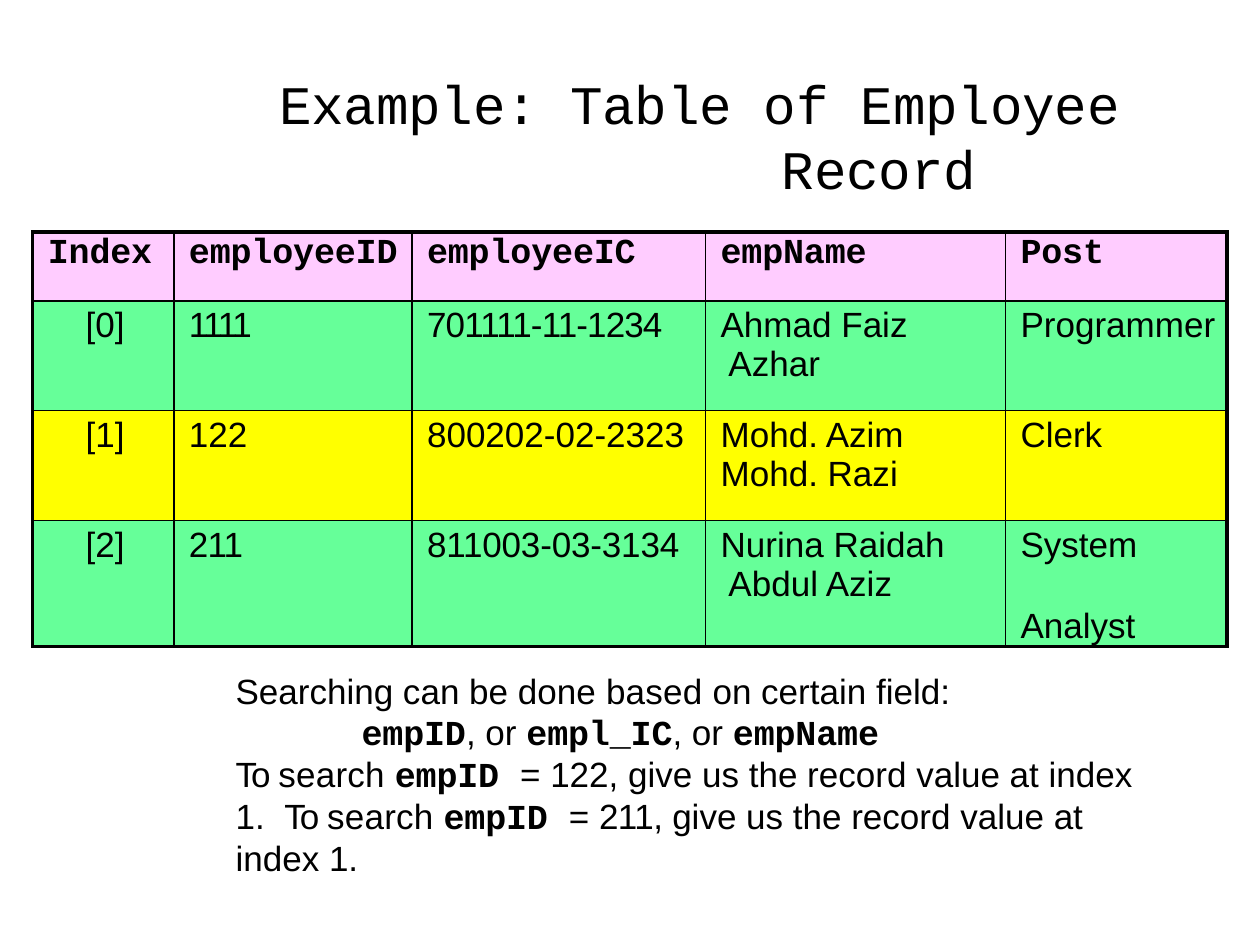
from lxml import etree
from pptx import Presentation, util as u
from pptx.dml.color import RGBColor
from pptx.enum import text
from pptx.oxml.ns import qn

CODE, BODY = "Courier New", "Arial"
INK, PINK, GREEN, YELLOW = "000000", "FFCCFF", "66FF99", "FFFF00"


def color(value):
    return RGBColor.from_string(value)


class Deck:
    size = 20

    def __init__(self, width=10, height=7.5):
        self.presentation = Presentation()
        self.presentation.slide_width = u.Inches(width)
        self.presentation.slide_height = u.Inches(height)
        self.unit = self.presentation.slide_width / 100
        self.slide = self.presentation.slides.add_slide(self.presentation.slide_layouts[5])

    def grid(self, *values):
        return [u.Emu(round(value * self.unit)) for value in values]

    def frame(self, target, top):
        target.margin_left = target.margin_right = target.margin_bottom = 0
        target.margin_top = self.grid(top)[0]
        target.word_wrap = True

    def paragraph(self, paragraph, runs, left=0, hanging=0, before=0, size=None,
                  line=None, align=text.PP_ALIGN.LEFT):
        paragraph.alignment = align
        paragraph.space_before = u.Pt(before)
        if line:
            paragraph.line_spacing = u.Pt(line)
        margin, indent = self.grid(left, hanging)
        properties = paragraph._p.get_or_add_pPr()
        properties.set("marL", str(margin))
        properties.set("indent", str(indent))
        paragraph.font.size = u.Pt(size or self.size)
        paragraph.font.color.rgb = color(INK)
        for words, name, bold, spacing in runs:
            pieces = words.split("\v")
            for index, piece in enumerate(pieces):
                if index:
                    paragraph.add_line_break()
                if piece:
                    run = paragraph.add_run()
                    run.text = piece
                    run.font.name = name
                    run.font.bold = bold
                    run.font.size = u.Pt(size or self.size)
                    run.font.color.rgb = color(INK)
                    run._r.get_or_add_rPr().set("spc", str(round(spacing * 100)))

    def title(self, words, place):
        shape = self.slide.shapes.title
        shape.left, shape.top, shape.width, shape.height = self.grid(*place)
        frame = shape.text_frame
        self.frame(frame, 3)
        frame.auto_size = text.MSO_AUTO_SIZE.NONE
        frame.vertical_anchor = text.MSO_ANCHOR.MIDDLE
        self.paragraph(frame.paragraphs[0], [(words, CODE, False, -0.1)], left=39.5,
                       hanging=-25.9, before=0.9, size=31, align=text.PP_ALIGN.CENTER)

    def border(self, cell, side, width):
        line = etree.SubElement(cell._tc.get_or_add_tcPr(), qn("a:ln" + side),
                                w=str(u.Pt(width)))
        fill = etree.SubElement(line, qn("a:solidFill"))
        etree.SubElement(fill, qn("a:srgbClr"), val=INK)

    def cell(self, cell, content, fill, header, centered, outer):
        words, spacing = content if isinstance(content, tuple) else (content, 0)
        self.frame(cell, 0.2 if header else 0.4)
        for index, line in enumerate(words.split("\n")):
            target = cell.text_frame.paragraphs[0] if index == 0 else cell.text_frame.add_paragraph()
            run = (line, CODE, True, -0.1) if header else (line, BODY, False, spacing)
            self.paragraph(target, [run], left=0.3 if centered else 1.2,
                           before=0 if index else 1.2 if header else 3,
                           align=text.PP_ALIGN.CENTER if centered else text.PP_ALIGN.LEFT)
        for side in "LRTB":
            self.border(cell, side, 2.25 if side in outer else 1)
        cell.fill.solid()
        cell.fill.fore_color.rgb = color(fill)

    def table(self, rows, fills, place, widths, heights):
        table = self.slide.shapes.add_table(len(rows), len(widths), *self.grid(*place)).table
        for column, width in zip(table.columns, self.grid(*widths)):
            column.width = width
        for row, height in zip(table.rows, self.grid(*heights)):
            row.height = height
        last_row, last_column = len(rows) - 1, len(widths) - 1
        for r, (row, fill) in enumerate(zip(rows, fills)):
            for c, content in enumerate(row):
                edges = {"L": c == 0, "R": c == last_column, "T": r == 0, "B": r == last_row}
                outer = [side for side, on in edges.items() if on]
                self.cell(table.cell(r, c), content, fill, r == 0, r > 0 and c == 0, outer)

    def note(self, paragraphs, place):
        frame = self.slide.shapes.add_textbox(*self.grid(*place)).text_frame
        self.frame(frame, 0.1)
        for index, (runs, options) in enumerate(paragraphs):
            target = frame.paragraphs[0] if index == 0 else frame.add_paragraph()
            self.paragraph(target, runs, **options)


def plain(words, spacing=0):
    return words, BODY, False, spacing


def code(words):
    return words, CODE, True, -0.1


def search(rest):
    return [plain("To ", -1.1), plain("search ", 0.1), code("empID "), *rest]


deck = Deck()
deck.title("Example: Table of Employee \vRecord", (5, 3, 90, 12.5))
deck.table(
    [
        ["Index", "employeeID", "employeeIC", "empName", "Post"],
        ["[0]", ("1111", -1.4), ("701111-11-1234", -0.5), "Ahmad Faiz\v Azhar", "Programmer"],
        ["[1]", "122", "800202-02-2323", "Mohd. Azim\nMohd. Razi", "Clerk"],
        ["[2]", ("211", -0.5), ("811003-03-3134", -0.1), "Nurina Raidah\v Abdul Aziz",
         "System\v\vAnalyst"],
    ],
    [PINK, GREEN, YELLOW, GREEN],
    (2.6, 18.4, 94.9, 31.2),
    [11.2, 18.9, 23.3, 23.8, 17.6],
    [5.5, 8.7, 8.7, 8.3],
)
deck.note(
    [
        ([plain("Searching can be done "), plain("based ", 0.1), plain("on certain field:")],
         dict(left=0.1, before=1.1, line=23.4)),
        ([code("empID"), plain(", or "), code("empl_IC"), plain(", or "), code("empName")],
         dict(left=10.1, line=23.4)),
        (search([plain("= 122, give us the record value at index 1.  ")])
         + search([plain("= "), plain("211, ", -0.3),
                   plain("give us the record value at index 1.")]),
         dict(left=0.1, line=24)),
    ],
    (18.6, 53.1, 73.8, 13.4),
)
deck.presentation.save("out.pptx")
